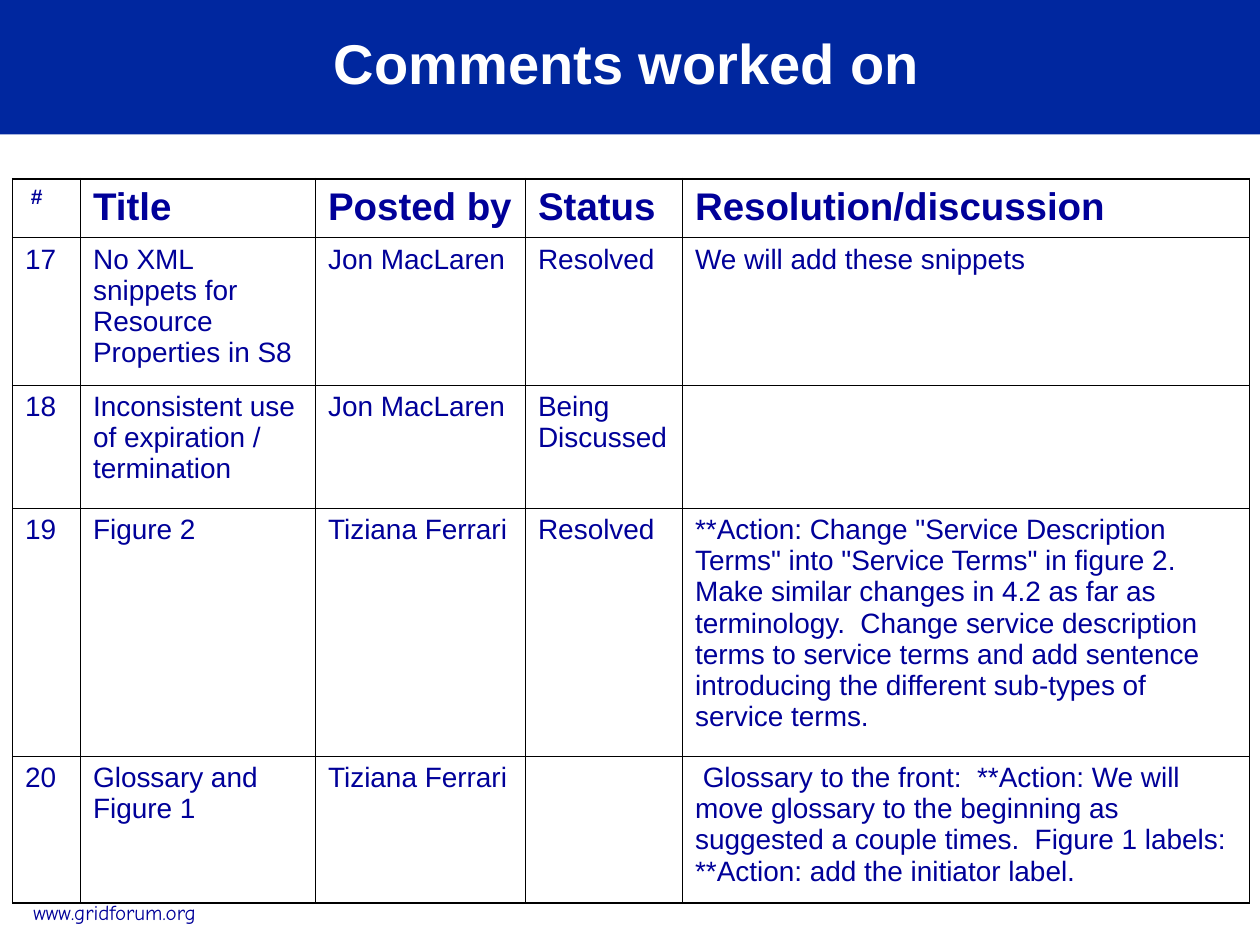
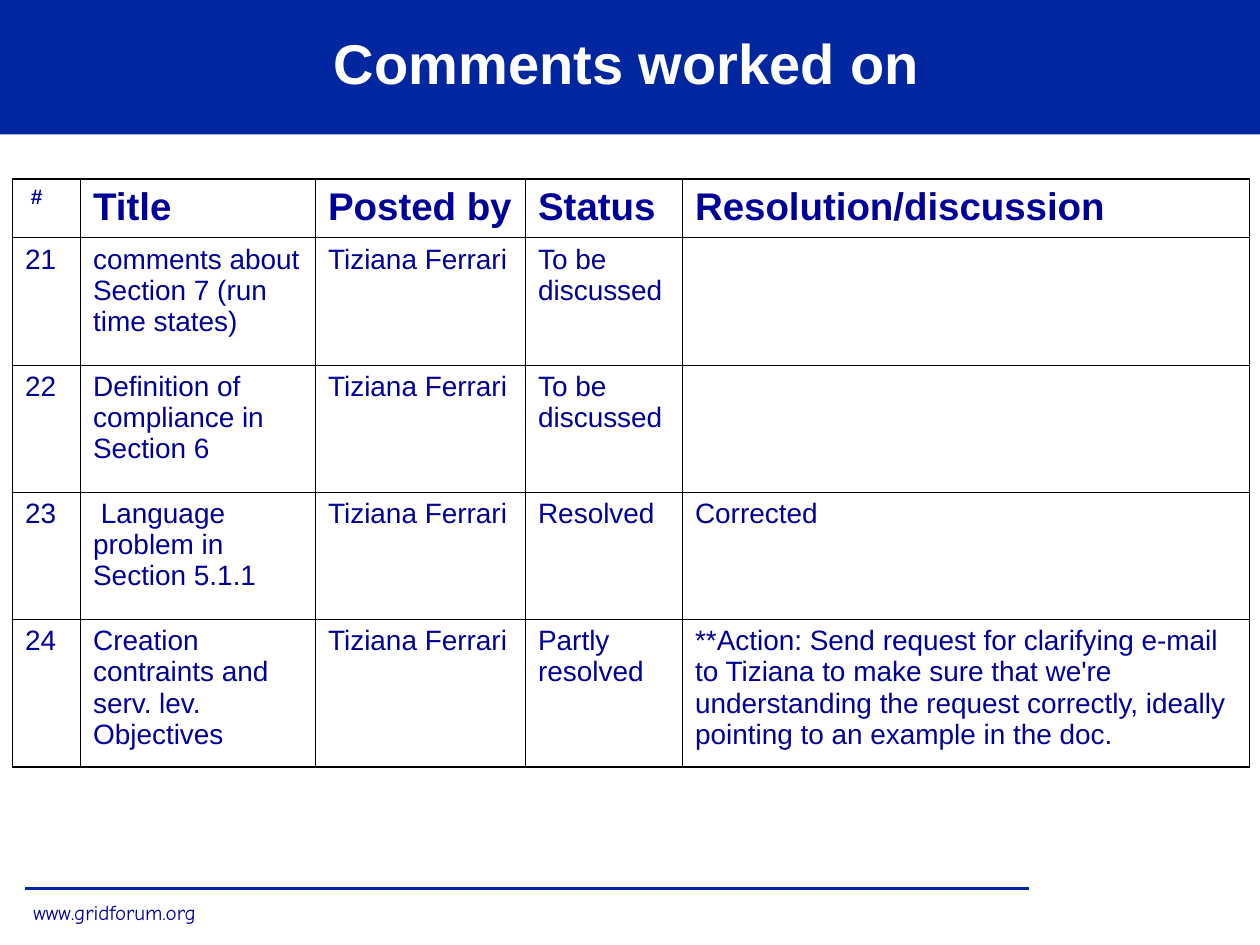
from dataclasses import dataclass

from lxml import etree
from pptx import Presentation
from pptx.dml.color import RGBColor
from pptx.enum.shapes import MSO_CONNECTOR, MSO_SHAPE
from pptx.enum.text import MSO_ANCHOR, PP_ALIGN
from pptx.oxml.ns import qn
from pptx.presentation import Presentation as Deck
from pptx.slide import Slide
from pptx.table import _Cell
from pptx.text.text import _Paragraph
from pptx.util import Pt

STRAIGHT = MSO_CONNECTOR.STRAIGHT
RECTANGLE = MSO_SHAPE.RECTANGLE
MIDDLE = MSO_ANCHOR.MIDDLE
LEFT = PP_ALIGN.LEFT
CENTER = PP_ALIGN.CENTER

BAND_BLUE = "00279F"
TEXT_BLUE = "000099"
WHITE = "FFFFFF"
BLACK = "000000"

TABLE_LEFT = 7.2
TABLE_TOP = 102.2
INNER_BORDER = 0.45
OUTER_BORDER = 1.08
HEADER_HEIGHT = 33.7


@dataclass(frozen=True)
class TextStyle:
    size: float
    color: str = TEXT_BLUE
    bold: bool = False
    face: str = "Arial"
    align: PP_ALIGN = LEFT


@dataclass(frozen=True)
class Column:
    heading: str
    width: float
    style: TextStyle
    indent: float = 0


@dataclass(frozen=True)
class Comment:
    number: int
    title: str
    author: str
    status: str
    resolution: str
    height: float
    title_indent: float = 0
    resolution_indent: float = 0


TITLE_STYLE = TextStyle(32, WHITE, True, align=CENTER)
FOOTER_STYLE = TextStyle(12, face="Comic Neue")
NUMBER_HEADING_STYLE = TextStyle(12, bold=True)
HEADING_STYLE = TextStyle(22, bold=True)
BODY_STYLE = TextStyle(16)

COLUMNS = [
    Column("#", 38.86, NUMBER_HEADING_STYLE, 3.3),
    Column("Title", 134.29, HEADING_STYLE),
    Column("Posted by", 120, HEADING_STYLE),
    Column("Status", 89.71, HEADING_STYLE),
    Column("Resolution/discussion", 324, HEADING_STYLE),
]

COMMENT_SETS = [
    [
        Comment(17, "No XML snippets for Resource Properties in S8",
                "Jon MacLaren", "Resolved", "We will add these snippets", 84.3),
        Comment(18, "Inconsistent use of expiration / termination",
                "Jon MacLaren", "Being Discussed", "", 70.3),
        Comment(19, "Figure 2", "Tiziana Ferrari", "Resolved",
                '**Action: Change "Service Description Terms" into "Service Terms" '
                "in figure 2.  Make similar changes in 4.2 as far as terminology.  "
                "Change service description terms to service terms and add sentence "
                "introducing the different sub-types of service terms.", 141.7),
        Comment(20, "Glossary and Figure 1", "Tiziana Ferrari", "",
                "Glossary to the front:  **Action: We will move glossary to the "
                "beginning as suggested a couple times.  Figure 1 labels: "
                "**Action: add the initiator label.", 83.7, resolution_indent=4.4),
    ],
    [
        Comment(21, "comments about Section 7 (run time states)",
                "Tiziana Ferrari", "To be discussed", "", 72.7),
        Comment(22, "Definition of compliance in Section 6",
                "Tiziana Ferrari", "To be discussed", "", 72.7),
        Comment(23, "Language problem in Section 5.1.1",
                "Tiziana Ferrari", "Resolved", "Corrected", 72.7, title_indent=4.4),
        Comment(24, "Creation contraints and serv. lev. Objectives",
                "Tiziana Ferrari", "Partly resolved",
                "**Action: Send request for clarifying e-mail to Tiziana to make sure "
                "that we're understanding the request correctly, ideally pointing to "
                "an example in the doc.", 84.3),
    ],
]


def rgb(color: str) -> RGBColor:
    return RGBColor.from_string(color)


def write(paragraph: _Paragraph, text: str, style: TextStyle, indent: float = 0) -> None:
    paragraph.text = text
    paragraph.alignment = style.align
    if indent:
        paragraph._p.get_or_add_pPr().set("indent", str(Pt(indent)))
    font = paragraph.font
    font.name = style.face
    font.size = Pt(style.size)
    font.bold = style.bold
    font.color.rgb = rgb(style.color)


def add_frame(slide: Slide) -> None:
    band = slide.shapes.add_shape(RECTANGLE, Pt(0), Pt(0), Pt(720), Pt(76.8))
    band.shadow.inherit = False
    band.fill.solid()
    band.fill.fore_color.rgb = rgb(BAND_BLUE)
    band.line.fill.background()

    rule = slide.shapes.add_connector(STRAIGHT, Pt(14.4), Pt(507.6), Pt(588), Pt(507.6))
    rule.line.color.rgb = rgb(BAND_BLUE)
    rule.line.width = Pt(2)
    etree.SubElement(rule._element.spPr, qn("a:effectLst"))

    footer = slide.shapes.add_textbox(Pt(12), Pt(510.5), Pt(107.3), Pt(21.6))
    footer.text_frame.word_wrap = False
    write(footer.text_frame.paragraphs[0], "www.gridforum.org", FOOTER_STYLE)

    title = slide.shapes.add_textbox(Pt(0), Pt(-1.4), Pt(716.4), Pt(73.4))
    title.text_frame.word_wrap = True
    title.text_frame.vertical_anchor = MIDDLE
    write(title.text_frame.paragraphs[0], "Comments worked on", TITLE_STYLE)


def set_borders(cell: _Cell, outer_sides: dict[str, bool]) -> None:
    properties = cell._tc.get_or_add_tcPr()
    for side, is_outer in outer_sides.items():
        width = OUTER_BORDER if is_outer else INNER_BORDER
        border = etree.SubElement(properties, qn(f"a:ln{side}"), w=str(Pt(width)))
        fill = etree.SubElement(border, qn("a:solidFill"))
        etree.SubElement(fill, qn("a:srgbClr"), val=BLACK)


def add_comment_table(slide: Slide, comments: list[Comment]) -> None:
    heights = [HEADER_HEIGHT] + [comment.height for comment in comments]
    width = sum(column.width for column in COLUMNS)
    table = slide.shapes.add_table(
        len(heights), len(COLUMNS), Pt(TABLE_LEFT), Pt(TABLE_TOP),
        Pt(width), Pt(sum(heights))).table
    table.first_row = False
    table.horz_banding = False
    for grid_column, column in zip(table.columns, COLUMNS):
        grid_column.width = Pt(column.width)
    for grid_row, height in zip(table.rows, heights):
        grid_row.height = Pt(height)

    rows = [[(column.heading, column.style, column.indent) for column in COLUMNS]]
    for comment in comments:
        rows.append([
            (str(comment.number), BODY_STYLE, 0),
            (comment.title, BODY_STYLE, comment.title_indent),
            (comment.author, BODY_STYLE, 0),
            (comment.status, BODY_STYLE, 0),
            (comment.resolution, BODY_STYLE, comment.resolution_indent),
        ])
    last_row, last_column = len(rows) - 1, len(COLUMNS) - 1
    for r, entries in enumerate(rows):
        for c, (text, style, indent) in enumerate(entries):
            cell = table.cell(r, c)
            set_borders(cell, {"L": c == 0, "R": c == last_column,
                               "T": r == 0, "B": r == last_row})
            cell.fill.solid()
            cell.fill.fore_color.rgb = rgb(WHITE)
            write(cell.text_frame.paragraphs[0], text, style, indent)


def build_deck() -> Deck:
    deck = Presentation()
    deck.slide_width = Pt(720)
    deck.slide_height = Pt(540)
    for comments in COMMENT_SETS:
        slide = deck.slides.add_slide(deck.slide_layouts[6])
        add_frame(slide)
        add_comment_table(slide, comments)
    return deck


if __name__ == "__main__":
    build_deck().save("out.pptx")
